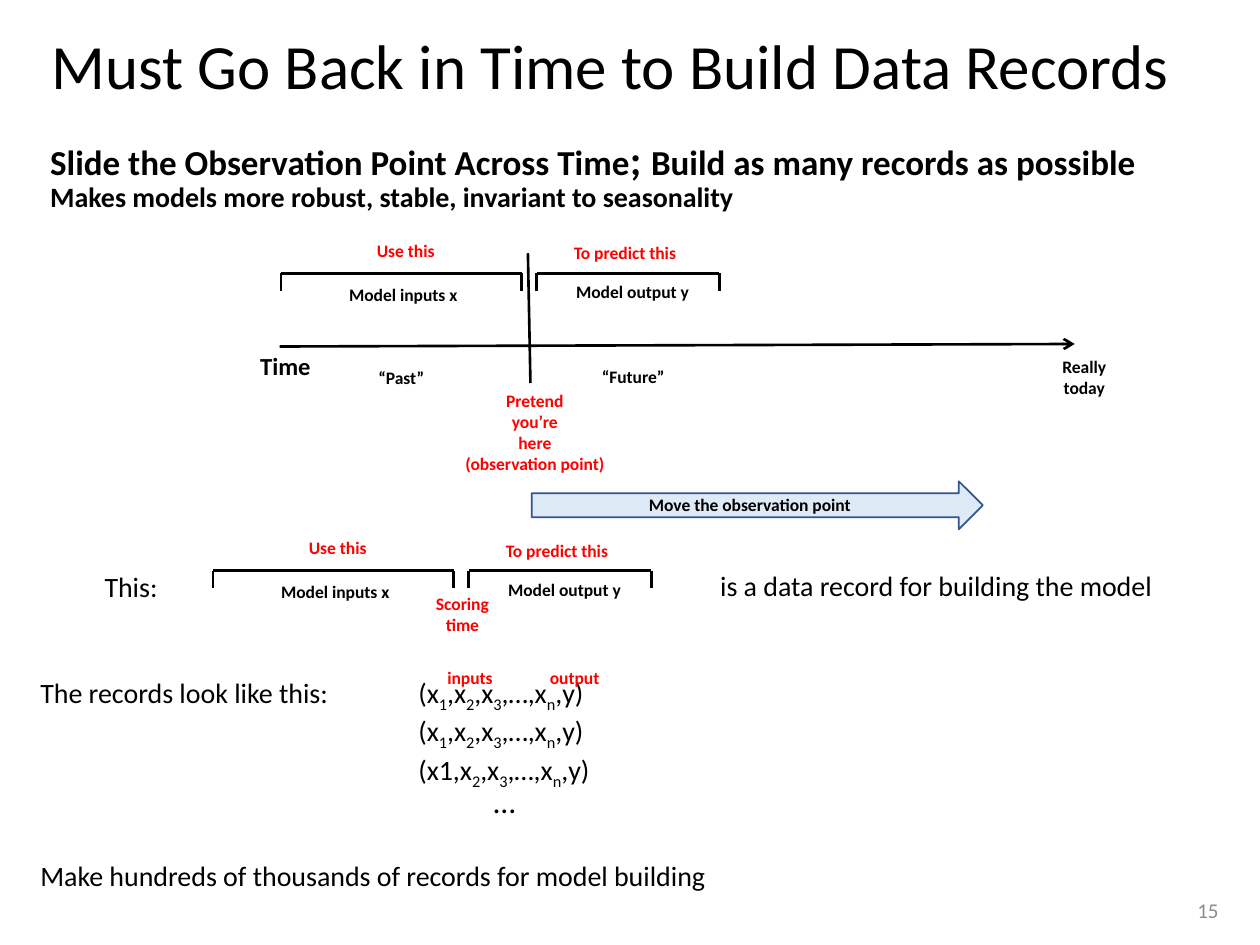
import pptx
import pptx.dml.color
import pptx.enum.shapes
import pptx.enum.text
import pptx.oxml.ns
import pptx.util
from lxml import etree

Inches = pptx.util.Inches
Pt = pptx.util.Pt
RGBColor = pptx.dml.color.RGBColor
ALIGN = pptx.enum.text.PP_ALIGN
ANCHOR = pptx.enum.text.MSO_ANCHOR
qn = pptx.oxml.ns.qn

BLACK = RGBColor(0x00, 0x00, 0x00)
RED = RGBColor(0xFF, 0x00, 0x00)
GRAY = RGBColor(0x8C, 0x8C, 0x8C)
PALE_BLUE = RGBColor(0xDE, 0xEB, 0xF7)
DARK_BLUE = RGBColor(0x32, 0x54, 0x91)


class SlideBuilder:
    font_name = "Calibri"
    line_width = Pt(1.5)
    tick = 0.14

    def __init__(self, slide):
        self.slide = slide

    def style(self, font, size, color=BLACK, bold=False):
        font.name = self.font_name
        font.size = Pt(size)
        font.bold = bold
        font.color.rgb = color

    def title(self, text, left, top, width, height):
        title = self.slide.shapes.title
        title.left, title.top = Inches(left), Inches(top)
        title.width, title.height = Inches(width), Inches(height)
        frame = title.text_frame
        frame.text = text
        frame.auto_size = pptx.enum.text.MSO_AUTO_SIZE.NONE
        frame.vertical_anchor = ANCHOR.MIDDLE
        paragraph = frame.paragraphs[0]
        paragraph.alignment = ALIGN.LEFT
        paragraph.line_spacing = 0.9
        self.style(paragraph.runs[0].font, 36)

    def text(self, text, left, top, width, height, size=16, color=BLACK, bold=False,
             align=ALIGN.LEFT, anchor=ANCHOR.BOTTOM, inset=0.0, wrap=True):
        box = self.slide.shapes.add_textbox(
            Inches(left), Inches(top), Inches(width), Inches(height))
        frame = box.text_frame
        frame.text = text
        frame.word_wrap = wrap
        frame.vertical_anchor = anchor
        frame.margin_left = frame.margin_right = Inches(inset)
        frame.margin_top = frame.margin_bottom = Inches(inset / 2)
        for paragraph in frame.paragraphs:
            paragraph.alignment = align
            for run in paragraph.runs:
                self.style(run.font, size, color, bold)
        return frame

    def label(self, text, left, top, width, height=0.17, color=BLACK, size=10):
        self.text(text, left, top, width, height, size, color, bold=True,
                  align=ALIGN.CENTER, wrap=False)

    def formula(self, paragraph, pieces, size=16):
        """Add runs; every second piece is a subscript."""
        for index, piece in enumerate(pieces):
            run = paragraph.add_run()
            run.text = piece
            self.style(run.font, size)
            if index % 2:
                run.font._element.set("baseline", "-25000")

    def line(self, x1, y1, x2, y2, arrow=False):
        line = self.slide.shapes.add_connector(
            pptx.enum.shapes.MSO_CONNECTOR.STRAIGHT,
            Inches(x1), Inches(y1), Inches(x2), Inches(y2))
        line.line.color.rgb = BLACK
        line.line.width = self.line_width
        if arrow:
            etree.SubElement(line.line._get_or_add_ln(), qn("a:tailEnd"), type="arrow")
        etree.SubElement(line._element.spPr, qn("a:effectLst"))

    def bracket(self, left, right, top):
        self.line(left, top, right, top)
        for x in (left, right):
            self.line(x, top, x, top + self.tick)

    def record_window(self, left, top):
        """Input and output brackets with their captions."""
        self.bracket(left, left + 1.91, top)
        self.bracket(left + 2.03, left + 3.48, top)
        self.label("Use this", left + 0.72, top - 0.27, 0.54, color=RED)
        self.label("To predict this", left + 2.25, top - 0.25, 0.96, color=RED)
        self.label("Model inputs x", left + 0.48, top + 0.08, 0.98)
        self.label("Model output y", left + 2.29, top + 0.06, 1)

    def block_arrow(self, left, top, width, height):
        arrow = self.slide.shapes.add_shape(
            pptx.enum.shapes.MSO_SHAPE.RIGHT_ARROW,
            Inches(left), Inches(top), Inches(width), Inches(height))
        arrow.shadow.inherit = False
        arrow.fill.solid()
        arrow.fill.fore_color.rgb = PALE_BLUE
        arrow.line.color.rgb = DARK_BLUE
        arrow.line.width = Pt(1)


def main():
    deck = pptx.Presentation()
    deck.slide_width, deck.slide_height = Inches(10), Inches(7.5)
    page = SlideBuilder(deck.slides.add_slide(deck.slide_layouts[5]))

    # Heading
    page.title("Must Go Back in Time to Build Data Records", 0.31, 0.37, 9.19, 0.35)
    summary = page.text(
        "Slide the Observation Point Across Time\n"
        "Makes models more robust, stable, invariant to seasonality",
        0.3, 1.03, 9.34, 0.71, bold=True, inset=0.1)
    headline = summary.paragraphs[0]
    for text in ("; ", "Build as many records as possible"):
        headline.add_run().text = text
    for run, size in zip(headline.runs, (20, 24, 20)):
        page.style(run.font, size, bold=True)
    for paragraph in summary.paragraphs:
        paragraph.line_spacing = 0.85

    # Timeline with the observation point
    page.line(2.22, 2.75, 8.53, 2.73, arrow=True)
    page.line(4.19, 2.01, 4.21, 3.04)
    page.label("Time", 2.04, 2.78, 0.45, 0.24, size=14)
    page.label("Really\ntoday", 8.37, 2.82, 0.47, 0.34)
    page.label("“Past”", 2.97, 2.91, 0.43)
    page.label("“Future”", 4.74, 2.9, 0.57)
    page.label("Pretend\nyou’re\nhere\n(observation point)", 3.61, 3.09, 1.27, 0.67, RED)
    page.record_window(2.23, 2.17)

    # Moving the observation point
    page.block_arrow(4.22, 3.82, 3.58, 0.38)
    page.label("Move the observation point", 5.04, 3.92, 1.82)

    # One data record
    page.record_window(1.69, 4.53)
    page.label("Scoring\ntime", 3.41, 4.7, 0.52, 0.34, RED)
    page.text("This:", 0.65, 4.52, 0.78, 0.27, align=ALIGN.CENTER)
    page.text("is a data record for building the model", 5.17, 4.51, 4.52, 0.27,
              align=ALIGN.CENTER)

    # List of records
    records = page.text("", 0.32, 5.2, 8.88, 1.88)
    tail = [",x", "3", ",…,x", "n", ",y)"]
    rows = [
        ["The records look like this: \t(x", "1", ",x", "2"] + tail,
        ["\t(x", "1", ",x", "2"] + tail,
        ["\t(x1,x", "2"] + tail,
    ]
    for index, row in enumerate(rows):
        paragraph = records.add_paragraph() if index else records.paragraphs[0]
        tabs = etree.SubElement(paragraph._p.get_or_add_pPr(), qn("a:tabLst"))
        etree.SubElement(tabs, qn("a:tab"), pos=str(Inches(3)), algn="l")
        page.formula(paragraph, row)
    closing = records.add_paragraph()
    closing.space_before = Pt(39)
    page.formula(closing, ["Make hundreds of thousands of records for model building"])
    page.label("inputs", 3.52, 5.29, 0.42, color=RED)
    page.label("output", 4.34, 5.29, 0.44, color=RED)
    page.text("…", 3.82, 6.16, 0.38, 0.4, size=18, anchor=ANCHOR.TOP, inset=0.1,
              wrap=False)

    # Slide number
    page.text("15", 8.1, 7.09, 1.67, 0.26, size=12, color=GRAY, align=ALIGN.RIGHT,
              anchor=ANCHOR.MIDDLE, inset=0.1)

    deck.save("out.pptx")


if __name__ == "__main__":
    main()
